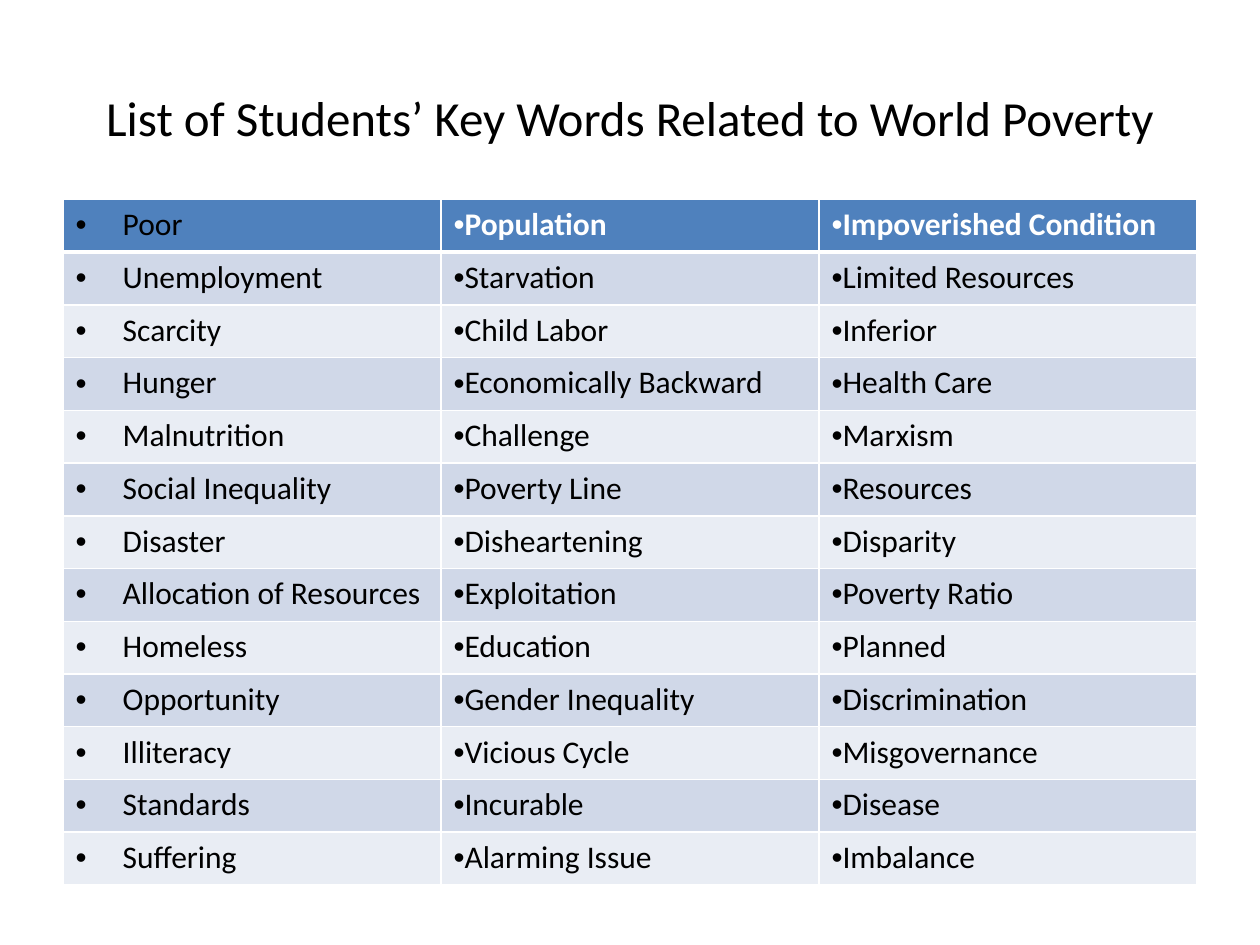
"""Build a slide with a three-column table of key words on world poverty."""
from lxml.etree import SubElement
from pptx import Presentation
from pptx.dml.color import RGBColor
from pptx.enum.text import MSO_ANCHOR, PP_ALIGN
from pptx.oxml.ns import qn
from pptx.util import Cm, Pt

BLACK = RGBColor(0x00, 0x00, 0x00)
WHITE = RGBColor(0xFF, 0xFF, 0xFF)
HEADER_BLUE = RGBColor(0x4F, 0x81, 0xBD)
BANDS = [RGBColor(0xE9, 0xED, 0xF4), RGBColor(0xD0, 0xD8, 0xE8)]
FONT = "Calibri"
INDENT = Cm(0.95)

KEY_WORDS = [
    ("Poor", "Population", "Impoverished Condition"),
    ("Unemployment", "Starvation", "Limited Resources"),
    ("Scarcity", "Child Labor", "Inferior"),
    ("Hunger", "Economically Backward", "Health Care"),
    ("Malnutrition", "Challenge", "Marxism"),
    ("Social Inequality", "Poverty Line", "Resources"),
    ("Disaster", "Disheartening", "Disparity"),
    ("Allocation of Resources", "Exploitation", "Poverty Ratio"),
    ("Homeless", "Education", "Planned"),
    ("Opportunity", "Gender Inequality", "Discrimination"),
    ("Illiteracy", "Vicious Cycle", "Misgovernance"),
    ("Standards", "Incurable", "Disease"),
    ("Suffering", "Alarming Issue", "Imbalance"),
]


def write(para, text, size, color, bold=False):
    para.text = text
    font = para.runs[0].font
    font.name, font.size, font.bold = FONT, Pt(size), bold
    font.color.rgb = color


def add_border(cell, side, width):
    line = SubElement(cell._tc.get_or_add_tcPr(), qn(f"a:ln{side}"), w=str(Pt(width)))
    fill = SubElement(line, qn("a:solidFill"))
    SubElement(fill, qn("a:srgbClr"), val=str(WHITE))


deck = Presentation()
deck.slide_width, deck.slide_height = Cm(25.4), Cm(19.05)
page = deck.slides.add_slide(deck.slide_layouts[6])

title = page.shapes.add_textbox(Cm(1.27), Cm(0.76), Cm(22.86), Cm(3.18))
title.text_frame.word_wrap = True
title.text_frame.vertical_anchor = MSO_ANCHOR.MIDDLE
heading = title.text_frame.paragraphs[0]
heading.alignment = PP_ALIGN.CENTER
write(heading, "List of Students’ Key Words Related to World Poverty", 28, BLACK)

table = page.shapes.add_table(
    len(KEY_WORDS), 3, Cm(1.27), Cm(4.02), Cm(22.86), Cm(13.82)
).table
for column in table.columns:
    column.width = Cm(22.86 / 3)

for row_number, words in enumerate(KEY_WORDS):
    is_header = row_number == 0
    table.rows[row_number].height = Cm(13.82 / len(KEY_WORDS))
    for column_number, word in enumerate(words):
        cell = table.cell(row_number, column_number)
        for side in "LRTB":
            thick = (is_header and side == "B") or (row_number == 1 and side == "T")
            add_border(cell, side, 3 if thick else 1)
        cell.fill.solid()
        cell.fill.fore_color.rgb = HEADER_BLUE if is_header else BANDS[row_number % 2]

        para = cell.text_frame.paragraphs[0]
        highlighted = is_header and column_number > 0
        write(para, word, 18, WHITE if highlighted else BLACK, highlighted)
        properties = para._p.get_or_add_pPr()
        if column_number == 0:
            properties.set("marL", str(INDENT))
            properties.set("indent", str(-INDENT))
            spacing = SubElement(properties, qn("a:spcBef"))
            SubElement(spacing, qn("a:spcPct"), val="20000")
        SubElement(properties, qn("a:buFont"), typeface="Arial")
        SubElement(properties, qn("a:buChar"), char="•")

deck.save("out.pptx")
